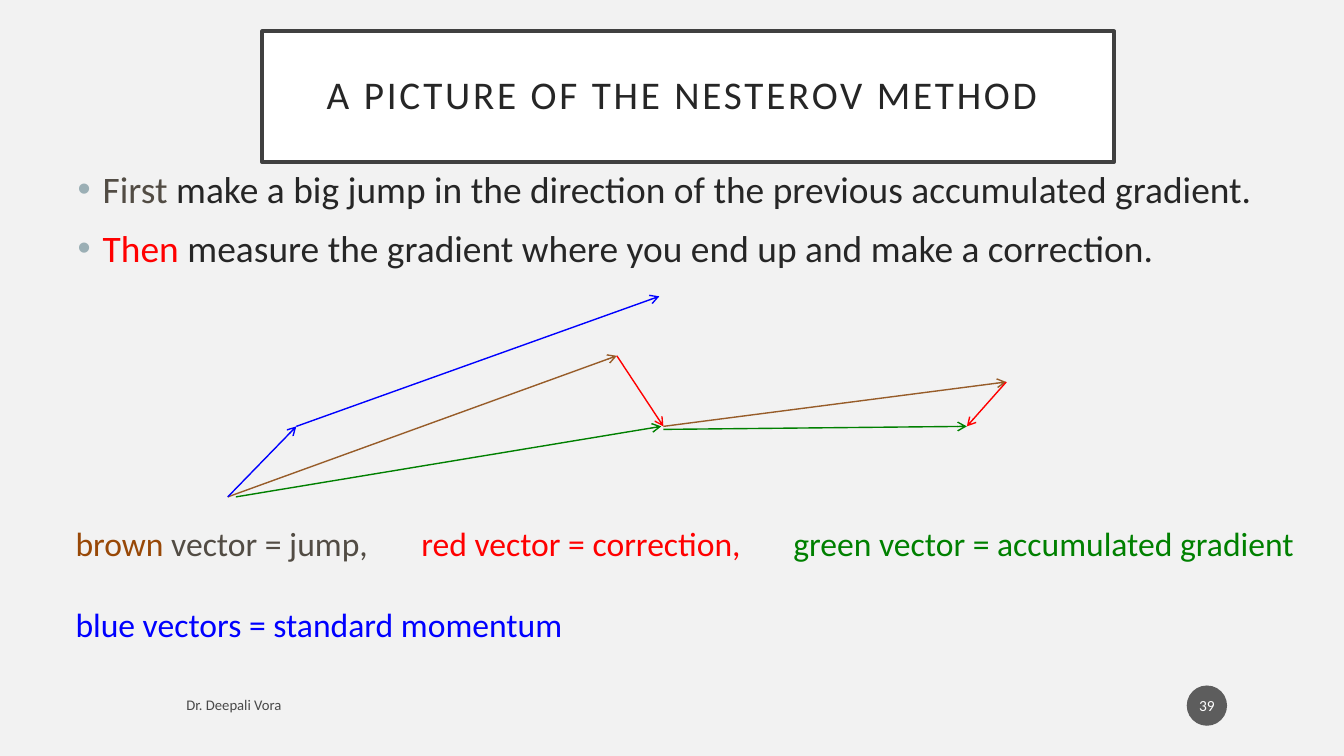
import pptx
import pptx.util
import pptx.dml.color
import pptx.enum.shapes
import pptx.enum.text
import pptx.oxml
import pptx.oxml.ns

WIDE, HIGH = 13.33, 7.5
FONT = "Calibri"
INK, BROWN, GREY = "262626", "975C29", "524C44"
RED, GREEN, BLUE = "FF0000", "008000", "0000FF"
LEFT = pptx.enum.text.PP_ALIGN.LEFT
MID = pptx.enum.text.PP_ALIGN.CENTER
TOP = pptx.enum.text.MSO_ANCHOR.TOP
HALF = pptx.enum.text.MSO_ANCHOR.MIDDLE

TITLE = [[("A PICTURE OF THE NESTEROV METHOD ", INK)]]
STEPS = [
    [("First", GREY), (" make a big jump in the direction of the previous accumulated gradient.", INK)],
    [("Then ", RED), ("measure the gradient where you end up and make a correction.", INK)],
]
KEY = [
    [("brown ", "984807"), ("vector = jump,\t", GREY), ("red vector = correction,\t", RED),
     ("green vector = accumulated gradient", GREEN)],
    [("blue vectors = standard momentum", BLUE)],
]
NAME = [[("Dr. Deepali Vora", "494949")]]
PAGE = [[("39", "FFFFFF")]]

# Boxes and points are in percent of the slide's width and height.
BOXES = {
    "title": (19.5, 4.13, 63.4, 17.33),
    "steps": (5.03, 21.33, 94, 18),
    "key": (4.88, 68.53, 94, 17.5),
    "name": (13.13, 90.93, 48.4, 4.67),
    "page": (88.3, 90.67, 3, 5.33),
}
SPOTS = {
    "start": (16.95, 65.73), "base": (17.55, 65.73),
    "jump": (45.9, 47.07), "meet": (49.36, 56.4),
    "sum": (49.2, 56.4), "low": (49.36, 56.8),
    "far": (74.87, 50.53), "end": (71.94, 56.4),
    "bend": (22.05, 56.4), "peak": (49.06, 39.2),
}
ARROWS = [
    ("start", "jump", BROWN), ("jump", "meet", RED), ("base", "sum", GREEN),
    ("start", "bend", BLUE), ("meet", "far", BROWN), ("far", "end", RED),
    ("low", "end", GREEN), ("bend", "peak", BLUE),
]
BULLET = ('<a:buClr {ns}><a:srgbClr val="9BAFB5"/></a:buClr>',
          '<a:buFont {ns} typeface="Arial"/>', '<a:buChar {ns} char="•"/>')
TABS = ('<a:tabLst {ns}><a:tab pos="3136000" algn="l"/>'
        '<a:tab pos="6511000" algn="l"/></a:tabLst>',)


def hue(code):
    return pptx.dml.color.RGBColor.from_string(code)


def spot(x, y):
    return pptx.util.Inches(x * WIDE / 100), pptx.util.Inches(y * HIGH / 100)


def place(name):
    x, y, wide, high = BOXES[name]
    return spot(x, y) + spot(wide, high)


def assign(item, looks):
    for key, value in looks.items():
        setattr(item, key, value)


def add_xml(node, parts):
    for part in parts:
        node.append(pptx.oxml.parse_xml(part.format(ns=pptx.oxml.ns.nsdecls("a"))))


def paint(shape, fill):
    shape.fill.solid()
    shape.fill.fore_color.rgb = hue(fill)
    shape.shadow.inherit = False


def write(shape, lines, size, anchor=TOP, align=LEFT, gap=0, pad=(0.1, 0.05), marks=(), track=0, lead=None):
    frame = shape.text_frame
    side, edge = map(pptx.util.Inches, pad)
    assign(frame, {
        "word_wrap": True, "auto_size": pptx.enum.text.MSO_AUTO_SIZE.NONE,
        "vertical_anchor": anchor, "margin_left": side, "margin_right": side,
        "margin_top": edge, "margin_bottom": edge,
    })
    for row, line in enumerate(lines):
        para = frame.add_paragraph() if row else frame.paragraphs[0]
        props = para._p.get_or_add_pPr()
        add_xml(props, marks)
        if marks is BULLET:
            props.set("marL", "228600")
            props.set("indent", "-228600")
        assign(para, {"alignment": align, "line_spacing": lead,
                      "space_before": pptx.util.Pt(gap if row else 0)})
        for words, code in line:
            run = para.add_run()
            run.text = words
            assign(run.font, {"name": FONT, "size": pptx.util.Pt(size), "bold": False})
            run.font.color.rgb = hue(code)
            if track:
                run.font._element.set("spc", str(track * 100))


def arrow(shapes, tail, head, code):
    line = shapes.add_connector(pptx.enum.shapes.MSO_CONNECTOR.STRAIGHT, *spot(*SPOTS[tail]), *spot(*SPOTS[head]))
    line.line.color.rgb = hue(code)
    line.line.width = pptx.util.Pt(1)
    add_xml(line.line._get_or_add_ln(), ['<a:tailEnd {ns} type="arrow"/>'])
    add_xml(line._element.spPr, ["<a:effectLst {ns}/>"])


def main():
    deck = pptx.Presentation()
    deck.slide_width, deck.slide_height = spot(100, 100)
    slide = deck.slides.add_slide(deck.slide_layouts[5])
    slide.background.fill.solid()
    slide.background.fill.fore_color.rgb = hue("F2F2F2")
    shapes = slide.shapes

    title = shapes.title
    assign(title, dict(zip(("left", "top", "width", "height"), place("title"))))
    paint(title, "FFFFFF")
    title.line.color.rgb = hue("404040")
    title.line.width = pptx.util.Pt(2.5)
    write(title, TITLE, 28, HALF, MID, pad=(0.2, 0.2), track=2, lead=0.9)

    write(shapes.add_textbox(*place("steps")), STEPS, 26.7, gap=10, marks=BULLET)
    for tail, head, code in ARROWS:
        arrow(shapes, tail, head, code)
    write(shapes.add_textbox(*place("key")), KEY, 24, gap=28.8, marks=TABS)
    write(shapes.add_textbox(*place("name")), NAME, 10.5, HALF)

    disc = shapes.add_shape(pptx.enum.shapes.MSO_SHAPE.OVAL, *place("page"))
    paint(disc, "5D5D5D")
    disc.line.fill.background()
    write(disc, PAGE, 11, HALF, MID, pad=(0.02, 0.05))

    deck.save("out.pptx")


if __name__ == "__main__":
    main()
